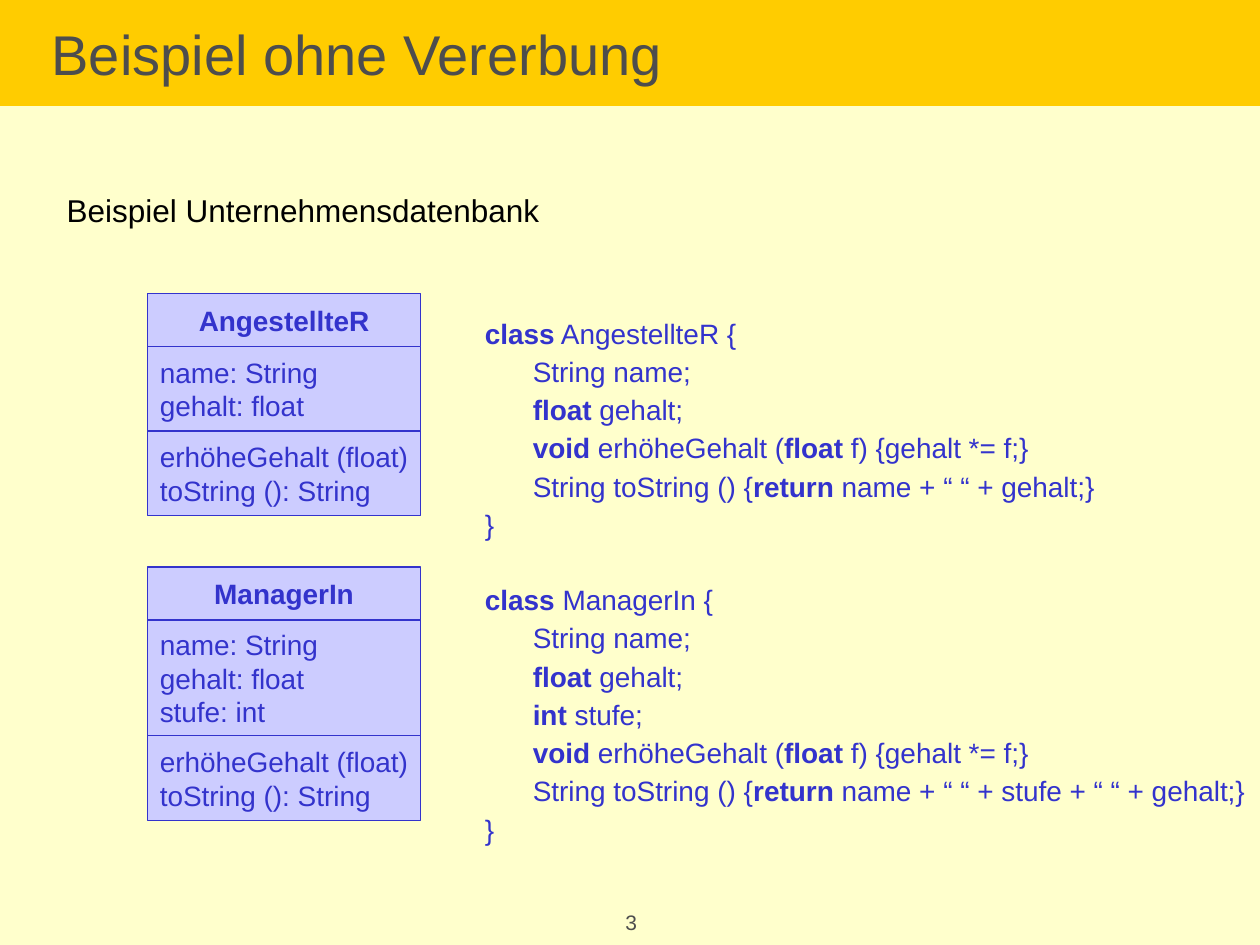
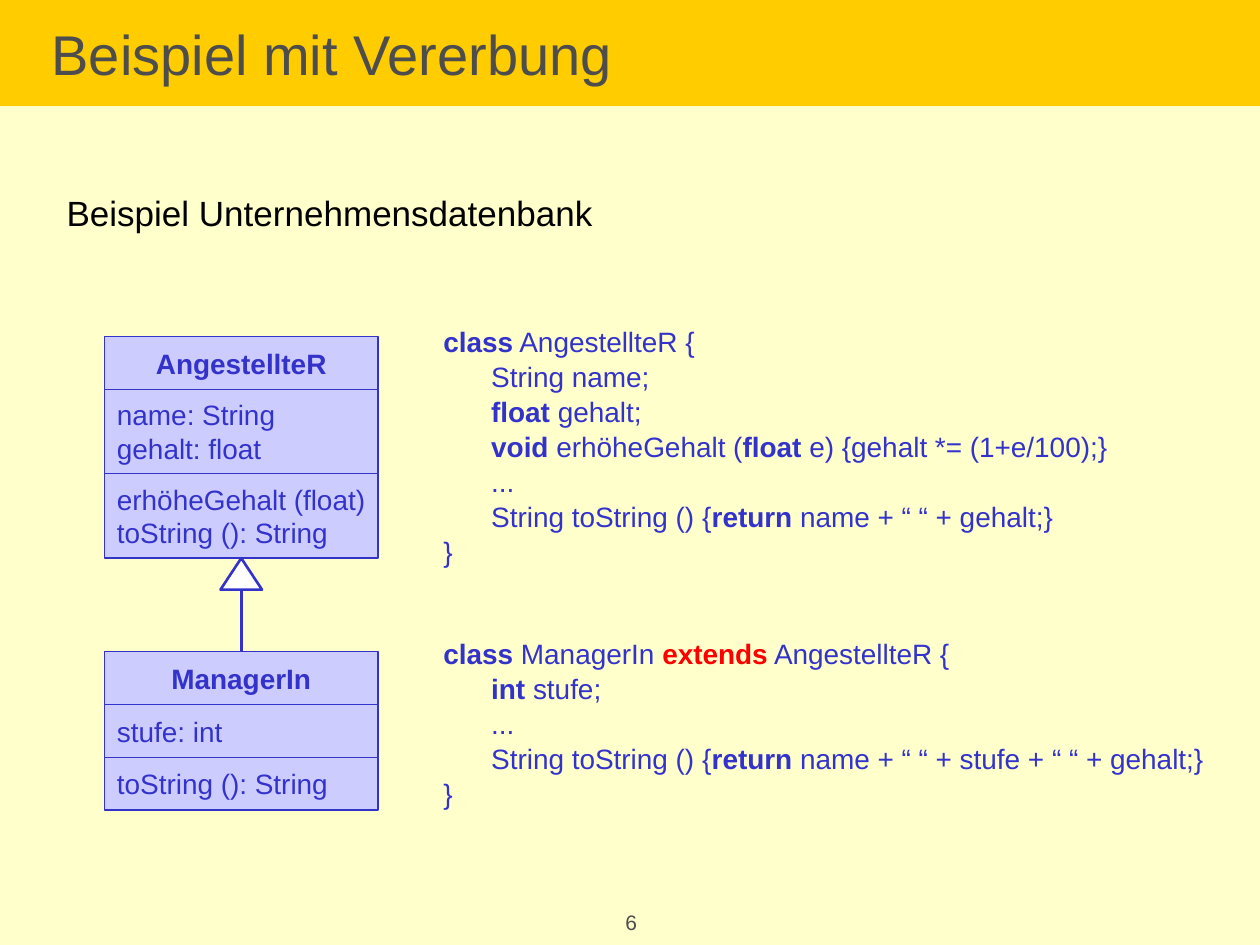
from lxml import etree
from pptx import Presentation
from pptx.dml.color import RGBColor
from pptx.enum.shapes import MSO_CONNECTOR, MSO_SHAPE
from pptx.enum.text import MSO_ANCHOR, PP_ALIGN
from pptx.oxml.ns import qn
from pptx.util import Inches, Pt

LEFT, CENTER = PP_ALIGN.LEFT, PP_ALIGN.CENTER
TOP, MIDDLE = MSO_ANCHOR.TOP, MSO_ANCHOR.MIDDLE
RECTANGLE, TRIANGLE = MSO_SHAPE.RECTANGLE, MSO_SHAPE.ISOSCELES_TRIANGLE
STRAIGHT = MSO_CONNECTOR.STRAIGHT
TITLE_ONLY = 5

FONT = "Arial"
COLORS = {
    "page": "FFFFCC",
    "band": "FFCC00",
    "title": "4D4D4D",
    "text": "000000",
    "uml": "3333CC",
    "uml_fill": "CCCCFF",
    "arrow_fill": "FFFFFF",
    "highlight": "FF0000",
}
CLASS_WIDTH = 2.17
CODE_INDENT = 0.38
CODE_SPACING = 4.6

# Each "|" in a code line switches bold on or off
CODE_WITHOUT = [
    ["|class| AngestellteR {",
     "\tString name;",
     "\t|float| gehalt;",
     "\t|void| erhöheGehalt (|float| f) {gehalt *= f;}",
     "\tString toString () {|return| name + “ “ + gehalt;}",
     "}"],
    ["|class| ManagerIn {",
     "\tString name;",
     "\t|float| gehalt;",
     "\t|int| stufe;",
     "\t|void| erhöheGehalt (|float| f) {gehalt *= f;}",
     "\tString toString () {|return| name + “ “ + stufe + “ “ + gehalt;}",
     "}"],
]
CODE_WITH = [
    ["|class| AngestellteR {",
     "\tString name;",
     "\t|float| gehalt;",
     "\t|void| erhöheGehalt (|float| e) {gehalt *= (1+e/100);}",
     "\t...",
     "\tString toString () {|return| name + “ “ + gehalt;}",
     "}"],
    ["|class| ManagerIn |extends| AngestellteR {",
     "\t|int| stufe;",
     "\t...",
     "\tString toString () {|return| name + “ “ + stufe + “ “ + gehalt;}",
     "}"],
]
FIELDS = ["name: String", "gehalt: float"]
METHODS = ["erhöheGehalt (float)", "toString (): String"]


def color(name):
    return RGBColor.from_string(COLORS[name])


def box_lengths(*box):
    return [Inches(length) for length in box]


def set_frame(frame, **changes):
    values = {"word_wrap": True, "vertical_anchor": TOP,
              "margin_left": Inches(0.1), "margin_right": Inches(0.1),
              "margin_top": Inches(0.05), "margin_bottom": Inches(0.05)}
    for name, value in (values | changes).items():
        setattr(frame, name, value)


def add_span(para, text, size, shade, bold=False):
    span = para.add_run()
    span.text = text
    for name, value in {"name": FONT, "size": Pt(size), "bold": bold}.items():
        setattr(span.font, name, value)
    span.font.color.rgb = color(shade)


def next_para(frame, index):
    return frame.add_paragraph() if index else frame.paragraphs[0]


def write_lines(frame, lines, size, shade, bold=False, align=LEFT):
    for index, line in enumerate(lines):
        para = next_para(frame, index)
        para.alignment = align
        add_span(para, line, size, shade, bold)


def add_label(page, box, text, size, shade, align=LEFT):
    frame = page.shapes.add_textbox(*box_lengths(*box)).text_frame
    set_frame(frame)
    write_lines(frame, [text], size, shade, align=align)


def add_filled(page, preset, box, fill, line_width):
    shape = page.shapes.add_shape(preset, *box_lengths(*box))
    shape.shadow.inherit = False
    shape.fill.solid()
    shape.fill.fore_color.rgb = color(fill)
    shape.line.color.rgb = color("uml")
    shape.line.width = Pt(line_width)
    return shape


def add_page(deck, title, number, subtitle_size):
    """Title band, subtitle and page number."""
    page = deck.slides.add_slide(deck.slide_layouts[TITLE_ONLY])
    band = page.shapes.title
    band.left, band.top, band.width, band.height = box_lengths(0, 0, 10, 0.84)
    band.fill.solid()
    band.fill.fore_color.rgb = color("band")
    set_frame(band.text_frame, margin_left=Inches(0.41), vertical_anchor=MIDDLE)
    write_lines(band.text_frame, [title], 32, "title")
    add_label(page, (0.43, 1.47, 4.49, 0.5), "Beispiel Unternehmensdatenbank",
              subtitle_size, "text")
    add_label(page, (4.39, 7.17, 1.24, 0.33), number, 12, "title", CENTER)
    return page


def add_class(page, left, top, name, fields, methods):
    """Stack name, fields and methods; return the name cell and the bottom."""
    cells = []
    for lines in ([name], fields, methods):
        height = 0.17 + 0.25 * len(lines)
        cell = add_filled(page, RECTANGLE, (left, top, CLASS_WIDTH, height),
                          "uml_fill", 0.75)
        is_name = not cells
        set_frame(cell.text_frame, word_wrap=False, vertical_anchor=MIDDLE)
        write_lines(cell.text_frame, lines, 16, "uml", is_name,
                    CENTER if is_name else LEFT)
        cells.append(cell)
        top += height
    return cells[0], top


def add_inheritance(page, left, parent_bottom, child):
    """Hollow triangle under the parent, joined to the child."""
    width, height = 0.33, 0.25
    middle = left + CLASS_WIDTH / 2
    add_filled(page, TRIANGLE, (middle - width / 2, parent_bottom, width, height),
               "arrow_fill", 1.5)
    tip = parent_bottom + height
    line = page.shapes.add_connector(STRAIGHT, *box_lengths(middle, tip, middle, tip))
    line.begin_connect(child, 0)
    line.line.color.rgb = color("uml")
    line.line.width = Pt(1.5)
    etree.SubElement(line._element.spPr, qn("a:effectLst"))


def add_code(page, box, classes, line_spacing, class_gap):
    frame = page.shapes.add_textbox(*box_lengths(*box)).text_frame
    set_frame(frame, margin_right=0)
    indent = Inches(CODE_INDENT)
    lines = [(line, class_gap if number and not row else 0)
             for number, block in enumerate(classes)
             for row, line in enumerate(block)]
    for index, (line, gap) in enumerate(lines):
        para = next_para(frame, index)
        para.line_spacing = line_spacing
        para.space_before = Pt(CODE_SPACING + gap)
        properties = para._p.get_or_add_pPr()
        properties.set("marL", str(indent))
        properties.set("indent", str(-indent))
        for part, text in enumerate(line.split("|")):
            if text:
                shade = "highlight" if text == "extends" else "uml"
                add_span(para, text, 16, shade, bold=part % 2 == 1)


def add_page_without_inheritance(deck):
    page = add_page(deck, "Beispiel ohne Vererbung", "3", 18)
    add_code(page, (3.75, 2.49, 6.25, 4.42), CODE_WITHOUT, 0.9, 21.2)
    add_class(page, 1.17, 2.33, "AngestellteR", FIELDS, METHODS)
    add_class(page, 1.17, 4.5, "ManagerIn", FIELDS + ["stufe: int"], METHODS)


def add_page_with_inheritance(deck):
    page = add_page(deck, "Beispiel mit Vererbung", "6", 20)
    add_code(page, (3.42, 2.58, 6.58, 4), CODE_WITH, 0.8, 38.6)
    left = 0.83
    _, parent_bottom = add_class(page, left, 2.67, "AngestellteR", FIELDS, METHODS)
    child, _ = add_class(page, left, 5.17, "ManagerIn", ["stufe: int"], METHODS[1:])
    add_inheritance(page, left, parent_bottom, child)


def main():
    deck = Presentation()
    deck.slide_width, deck.slide_height = Inches(10), Inches(7.5)
    background = deck.slide_master.background.fill
    background.solid()
    background.fore_color.rgb = color("page")
    add_page_without_inheritance(deck)
    add_page_with_inheritance(deck)
    deck.save("out.pptx")


if __name__ == "__main__":
    main()
